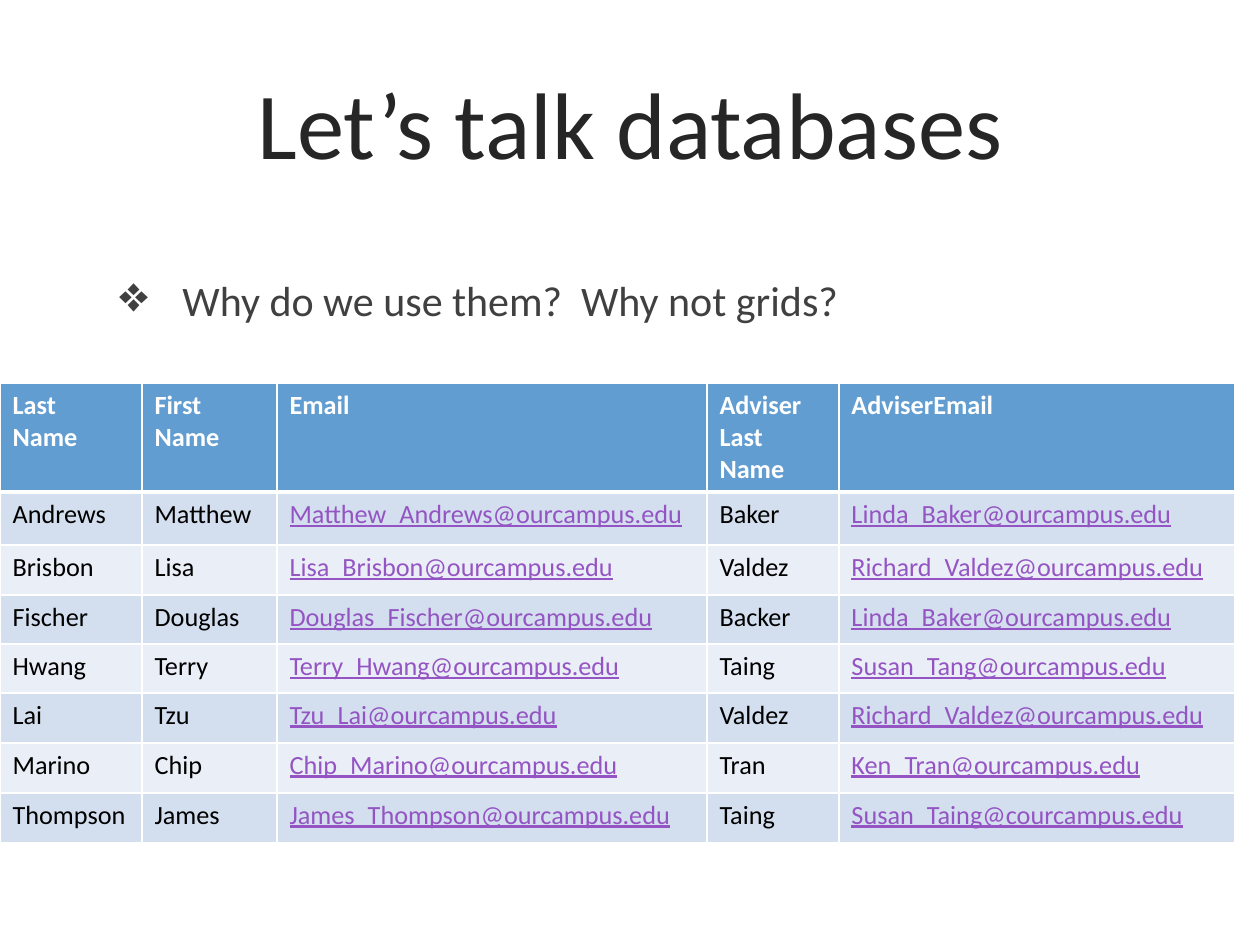
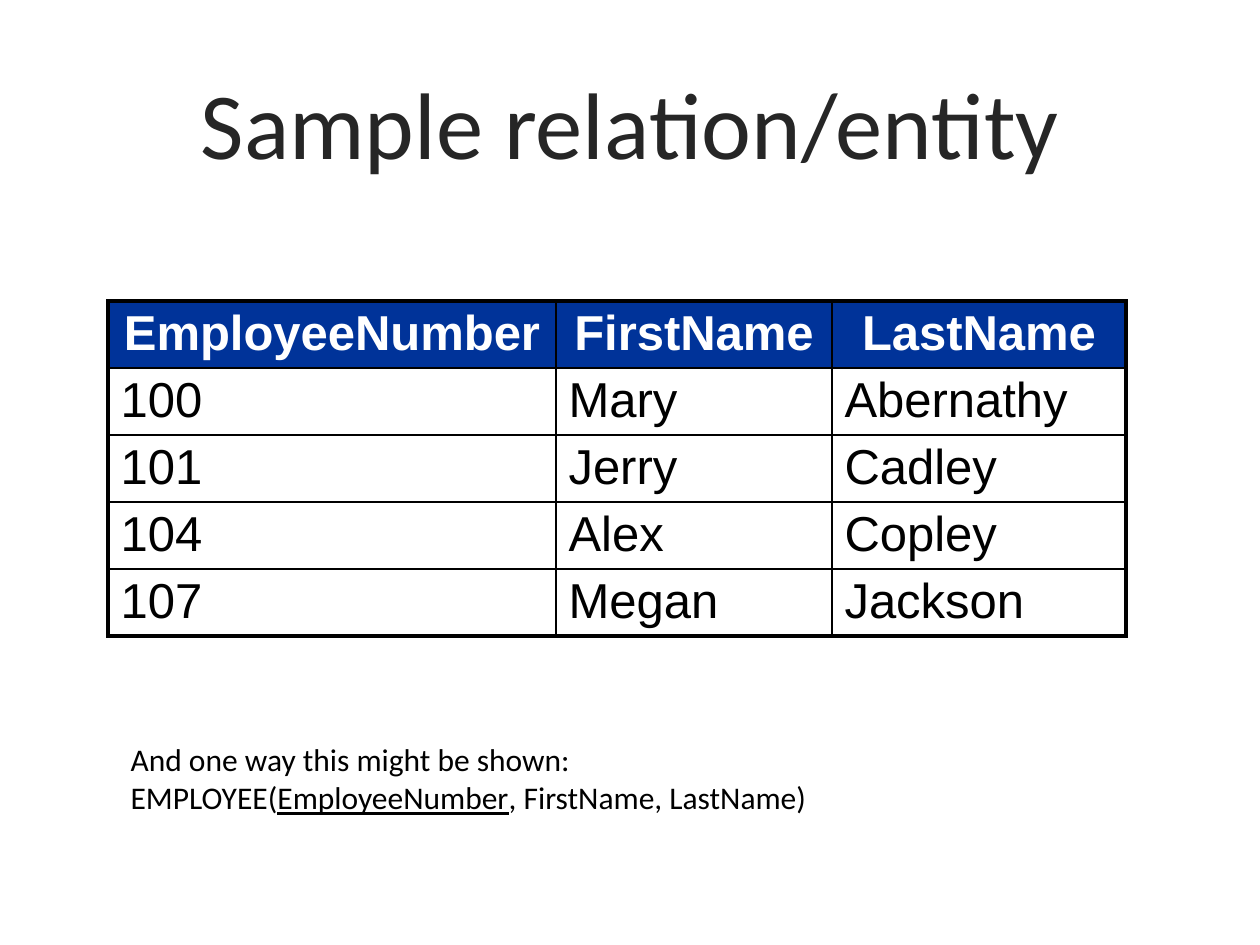
from lxml import etree
from pptx import Presentation
from pptx import util as u
from pptx.dml import color
from pptx.enum import text
from pptx.oxml import ns

PX = u.Inches(1) / 126
BODY_FONT, TABLE_FONT = "Calibri", "Arial"
BLACK, WHITE = "000000", "FFFFFF"
TITLE_INK, BODY_INK, LINK_INK = "262626", "404040", "9454C3"
HEADER_BLUE, BANDS = "629DD1", ("D3DFEE", "EAEFF7")
NAVY = "003399"
CENTER = text.PP_ALIGN.CENTER
THIN, THICK = 1, 2.25


def px(length):
    return u.Emu(round(length * PX))


def rgb(code):
    return color.RGBColor.from_string(code)


def add_xml(parent, tag, **attributes):
    return etree.SubElement(parent, ns.qn(tag), attributes)


class Deck:
    """Slides that share one title style, text style and table style."""

    def __init__(self):
        self.presentation = Presentation()
        self.presentation.slide_width = px(1260)
        self.presentation.slide_height = px(945)
        self.slide = None

    def new_slide(self, title):
        self.slide = self.presentation.slides.add_slide(self.presentation.slide_layouts[6])
        frame = self.text_frame(100, 43, 1060, 158)
        frame.vertical_anchor = text.MSO_ANCHOR.MIDDLE
        frame.paragraphs[0].alignment = CENTER
        self.run(frame.paragraphs[0], title, 54, TITLE_INK)

    def text_frame(self, left, top, width, height):
        frame = self.slide.shapes.add_textbox(px(left), px(top), px(width), px(height)).text_frame
        frame.word_wrap = True
        return frame

    def run(self, paragraph, words, size, ink, font=BODY_FONT, bold=False, underline=False):
        run = paragraph.add_run()
        run.text = words
        run.font.name, run.font.size = font, u.Pt(size)
        run.font.bold, run.font.underline = bold, underline
        run.font.color.rgb = rgb(ink)

    def bullet(self, left, top, width, height, words):
        paragraph = self.text_frame(left, top, width, height).paragraphs[0]
        self.run(paragraph, words, 24, BODY_INK)
        properties = paragraph._p.get_or_add_pPr()
        properties.set("marL", str(px(63)))
        properties.set("indent", str(px(-63)))
        add_xml(properties, "a:buSzPct", val="120000")
        add_xml(properties, "a:buChar", char="❖")

    def table(self, left, top, widths, heights):
        table = self.slide.shapes.add_table(
            len(heights), len(widths), px(left), px(top), px(sum(widths)), px(sum(heights))
        ).table
        table.first_row = table.horz_banding = False
        for column, width in zip(table.columns, widths):
            column.width = px(width)
        for row, height in zip(table.rows, heights):
            row.height = px(height)
        return table

    def fill(self, cell, code=None):
        if code:
            cell.fill.solid()
            cell.fill.fore_color.rgb = rgb(code)
        else:
            cell.fill.background()

    def borders(self, cell, ink, **widths):
        properties = cell._tc.get_or_add_tcPr()
        for place, side in enumerate("LRTB"):
            line = etree.Element(ns.qn(f"a:ln{side}"), w=str(u.Pt(widths[side])))
            add_xml(add_xml(line, "a:solidFill"), "a:srgbClr", val=ink)
            properties.insert(place, line)

    def cell_lines(self, cell, lines, size, ink, **style):
        for number, words in enumerate(lines):
            paragraph = cell.text_frame.add_paragraph() if number else cell.text_frame.paragraphs[0]
            self.run(paragraph, words, size, ink, **style)


def databases_slide(deck):
    deck.new_slide("Let’s talk databases")
    deck.bullet(107, 268, 1114, 67, "Why do we use them?  Why not grids?")
    students = [
        ("Last\nName", "First\nName", "Email", "Adviser\nLast\nName", "AdviserEmail"),
        ("Andrews", "Matthew", "Matthew_Andrews@ourcampus.edu", "Baker", "Linda_Baker@ourcampus.edu"),
        ("Brisbon", "Lisa", "Lisa_Brisbon@ourcampus.edu", "Valdez", "Richard_Valdez@ourcampus.edu"),
        ("Fischer", "Douglas", "Douglas_Fischer@ourcampus.edu", "Backer", "Linda_Baker@ourcampus.edu"),
        ("Hwang", "Terry", "Terry_Hwang@ourcampus.edu", "Taing", "Susan_Tang@ourcampus.edu"),
        ("Lai", "Tzu", "Tzu_Lai@ourcampus.edu", "Valdez", "Richard_Valdez@ourcampus.edu"),
        ("Marino", "Chip", "Chip_Marino@ourcampus.edu", "Tran", "Ken_Tran@ourcampus.edu"),
        ("Thompson", "James", "James_Thompson@ourcampus.edu", "Taing", "Susan_Taing@courcampus.edu"),
    ]
    roster = deck.table(0, 383, (142, 135, 430, 132, 396), (109, 53, 50, 49, 49, 50, 50, 50))
    for r, student in enumerate(students):
        header = r == 0
        for c, value in enumerate(student):
            cell = roster.cell(r, c)
            email = "@" in value
            ink = WHITE if header else LINK_INK if email else BLACK
            deck.cell_lines(cell, value.split("\n"), 15, ink, bold=header, underline=email)
            deck.fill(cell, HEADER_BLUE if header else BANDS[(r - 1) % 2])
            deck.borders(cell, WHITE, L=1, R=1, T=3 if r == 1 else 1, B=3 if header else 1)


def relation_slide(deck):
    deck.new_slide("Sample relation/entity")
    employees = [
        ("EmployeeNumber", "FirstName", "LastName"),
        ("100", "Mary", "Abernathy"),
        ("101", "Jerry", "Cadley"),
        ("104", "Alex", "Copley"),
        ("107", "Megan", "Jackson"),
    ]
    last_row, last_column = len(employees) - 1, len(employees[0]) - 1
    relation = deck.table(108, 301, (448, 276, 294), [67] * len(employees))
    for r, employee in enumerate(employees):
        header = r == 0
        for c, value in enumerate(employee):
            cell = relation.cell(r, c)
            cell.margin_top, cell.margin_bottom = px(5), px(3)
            deck.cell_lines(cell, [value], 28, WHITE if header else BLACK, font=TABLE_FONT, bold=header)
            if header:
                cell.text_frame.paragraphs[0].alignment = CENTER
            deck.fill(cell, NAVY if header else None)
            deck.borders(
                cell, BLACK,
                L=THICK if c == 0 else THIN,
                R=THICK if c == last_column else THIN,
                T=THICK if header else THIN,
                B=THICK if r == last_row else THIN,
            )

    notation = deck.table(118, 735, [840], [88]).cell(0, 0)
    deck.fill(notation)
    deck.cell_lines(notation, ["And one way this might be shown:", "EMPLOYEE("], 18, BLACK)
    schema = notation.text_frame.paragraphs[1]
    deck.run(schema, "EmployeeNumber", 18, BLACK, underline=True)
    deck.run(schema, ", FirstName, LastName)", 18, BLACK)


def main():
    deck = Deck()
    databases_slide(deck)
    relation_slide(deck)
    deck.presentation.save("out.pptx")


if __name__ == "__main__":
    main()
